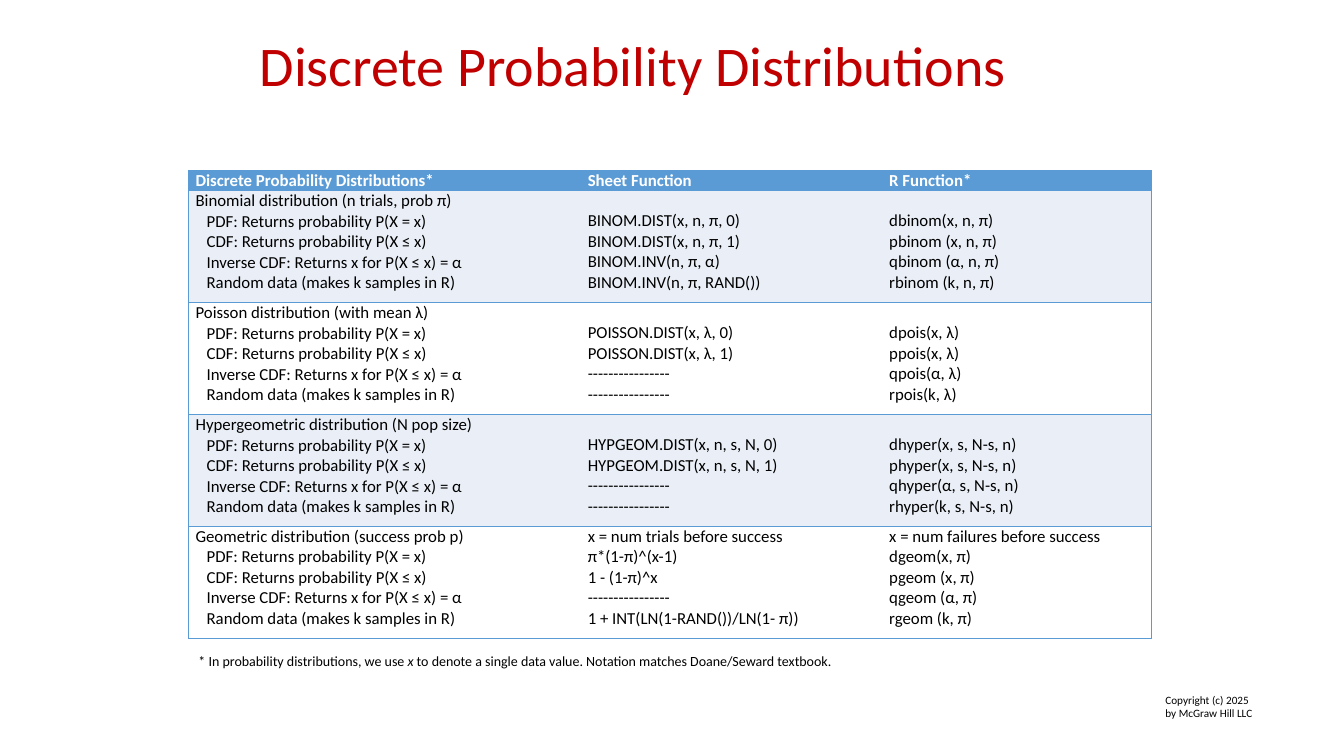
from lxml.etree import SubElement
from pptx import Presentation
from pptx.dml.color import RGBColor
from pptx.enum.text import PP_ALIGN as Align
from pptx.oxml.ns import qn
from pptx.util import Inches, Pt

# Content
TITLE = "Discrete Probability Distributions"
HEADINGS = ["Discrete Probability Distributions*", "Sheet Function", "R Function*"]
PURPOSES = [
    "PDF: Returns probability P(X = x)",
    "CDF: Returns probability P(X ≤ x)",
    "Inverse CDF: Returns x for P(X ≤ x) = α",
    "Random data (makes k samples in R)",
]
NONE = "----------------"
# Each: name, sheet functions, R functions
DISTRIBUTIONS = [
    ("Binomial distribution (n trials, prob π)",
     ["BINOM.DIST(x, n, π, 0)", "BINOM.DIST(x, n, π, 1)",
      "BINOM.INV(n, π, α)", "BINOM.INV(n, π, RAND())"],
     ["dbinom(x, n, π)", "pbinom (x, n, π)", "qbinom (α, n, π)", "rbinom (k, n, π)"]),
    ("Poisson distribution (with mean λ)",
     ["POISSON.DIST(x, λ, 0)", "POISSON.DIST(x, λ, 1)", NONE, NONE],
     ["dpois(x, λ)", "ppois(x, λ)", "qpois(α, λ)", "rpois(k, λ)"]),
    ("Hypergeometric distribution (N pop size)",
     ["HYPGEOM.DIST(x, n, s, N, 0)", "HYPGEOM.DIST(x, n, s, N, 1)", NONE, NONE],
     ["dhyper(x, s, N-s, n)", "phyper(x, s, N-s, n)",
      "qhyper(α, s, N-s, n)", "rhyper(k, s, N-s, n)"]),
    ("Geometric distribution (success prob p)",
     ["x = num trials before success", "π*(1-π)^(x-1)", "1 - (1-π)^x", NONE,
      "1 + INT(LN(1-RAND())/LN(1- π))"],
     ["x = num failures before success", "dgeom(x, π)", "pgeom (x, π)",
      "qgeom (α, π)", "rgeom (k, π)"]),
]
FOOTNOTE = [
    ("* In probability distributions, we use ", False),
    ("x", True),
    (" to denote a single data value. Notation matches Doane/Seward textbook.", False),
]
COPYRIGHT = ["Copyright (c) 2025", "by McGraw Hill LLC"]

# Style
FONT = "Calibri"
RED = RGBColor(0xC0, 0x00, 0x00)
BLUE = RGBColor(0x5B, 0x9B, 0xD5)
PALE = RGBColor(0xEA, 0xEF, 0xF7)
WHITE = RGBColor(0xFF, 0xFF, 0xFF)
BLACK = RGBColor(0x00, 0x00, 0x00)

# Grid, in inches
COLUMNS = [3.89, 2.99, 2.67]
HEADING_ROW, BODY_ROW = 0.2, 1.11
TABLE_LEFT, TABLE_TOP = 1.87, 1.69
LINE = 0.2
INDENT = 0.11


def style(paragraph, size, color, bold=False):
    font = paragraph.font
    font.name, font.size, font.bold = FONT, Pt(size), bold
    font.color.rgb = color


def write(frame, lines, size, color, bold=False):
    for number, line in enumerate(lines):
        paragraph = frame.add_paragraph() if number else frame.paragraphs[0]
        runs = [(line, False)] if isinstance(line, str) else line
        for text, italic in runs:
            run = paragraph.add_run()
            run.text = text
            if italic:
                run.font.italic = True
        style(paragraph, size, color, bold)
    return frame.paragraphs


def add_text(slide, box, lines, size, color):
    frame = slide.shapes.add_textbox(*map(Inches, box)).text_frame
    frame.word_wrap = True
    return write(frame, lines, size, color)


def set_borders(cell, first, last):
    """Rule the rows and the table's outer sides."""
    props = cell._tc.get_or_add_tcPr()
    sides = [("a:lnL", first), ("a:lnR", last), ("a:lnT", True), ("a:lnB", True)]
    for position, (tag, drawn) in enumerate(sides):
        line = SubElement(props, qn(tag), w=str(Pt(1)))
        if drawn:
            fill = SubElement(line, qn("a:solidFill"))
            SubElement(fill, qn("a:srgbClr"), val=str(BLUE))
        else:
            SubElement(line, qn("a:noFill"))
        props.insert(position, line)


def fill_cell(cell, lines, fill, color=BLACK, bold=False, skipped=0):
    cell.margin_left = cell.margin_right = Inches(0.07)
    cell.margin_top, cell.margin_bottom = Inches(skipped * LINE), 0
    cell.fill.solid()
    cell.fill.fore_color.rgb = fill
    return write(cell.text_frame, lines, 12, color, bold)


def add_distributions(slide):
    heights = [HEADING_ROW] + [BODY_ROW] * len(DISTRIBUTIONS)
    box = (TABLE_LEFT, TABLE_TOP, sum(COLUMNS), sum(heights))
    table = slide.shapes.add_table(
        len(heights), len(COLUMNS), *map(Inches, box)).table
    table.first_row = table.horz_banding = False
    for column, width in zip(table.columns, COLUMNS):
        column.width = Inches(width)
    for row, height in zip(table.rows, heights):
        row.height = Inches(height)

    # Heading row
    for c, heading in enumerate(HEADINGS):
        fill_cell(table.cell(0, c), [heading], BLUE, WHITE, bold=True)

    # One row for each distribution
    for r, (name, *functions) in enumerate(DISTRIBUTIONS, 1):
        band = PALE if r % 2 else WHITE
        labels = fill_cell(table.cell(r, 0), [name] + PURPOSES, band)
        for label in labels[1:]:
            props = label._p.get_or_add_pPr()
            props.set("marL", str(Inches(INDENT)))
            props.set("indent", "0")
        for c, calls in enumerate(functions, 1):
            skipped = len(labels) - len(calls)
            fill_cell(table.cell(r, c), calls, band, skipped=skipped)

    for row in table.rows:
        for c, cell in enumerate(row.cells):
            set_borders(cell, c == 0, c == len(COLUMNS) - 1)


def main():
    deck = Presentation()
    deck.slide_width, deck.slide_height = Inches(13.33), Inches(7.5)
    slide = deck.slides.add_slide(deck.slide_layouts[6])

    add_distributions(slide)
    title = add_text(slide, (1.73, 0.25, 9.09, 0.77), [TITLE], 40, RED)
    title[0].alignment = Align.CENTER
    add_text(slide, (TABLE_LEFT, 6.42, 6.71, 0.27), [FOOTNOTE], 10, BLACK)
    add_text(slide, (11.46, 6.83, 1.13, 0.37), COPYRIGHT, 8, BLACK)

    deck.save("out.pptx")


if __name__ == "__main__":
    main()
